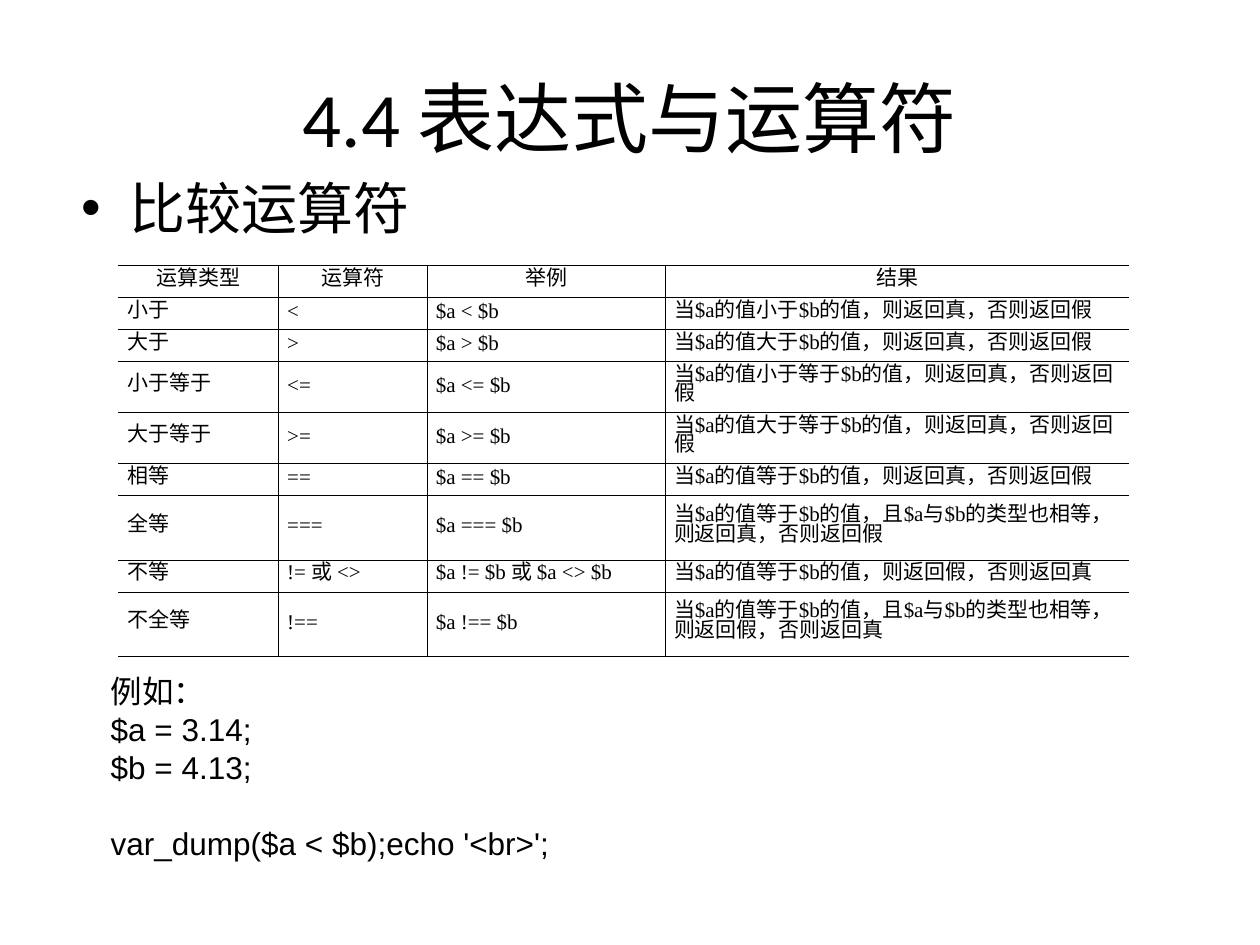
from lxml.etree import SubElement
from pptx import Presentation
from pptx.dml.color import RGBColor
from pptx.enum.text import MSO_ANCHOR, PP_ALIGN
from pptx.oxml.ns import qn
from pptx.util import Inches, Pt

ROWS = [
    ("运算类型", "运算符", "举例", "结果"),
    ("小于", "<", "$a < $b", "当$a的值小于$b的值，则返回真，否则返回假"),
    ("大于", ">", "$a > $b", "当$a的值大于$b的值，则返回真，否则返回假"),
    ("小于等于", "<=", "$a <= $b", "当$a的值小于等于$b的值，则返回真，否则返回假"),
    ("大于等于", ">=", "$a >= $b", "当$a的值大于等于$b的值，则返回真，否则返回假"),
    ("相等", "==", "$a == $b", "当$a的值等于$b的值，则返回真，否则返回假"),
    ("全等", "===", "$a === $b", "当$a的值等于$b的值，且$a与$b的类型也相等，则返回真，否则返回假"),
    ("不等", "!= 或 <>", "$a != $b 或 $a <> $b", "当$a的值等于$b的值，则返回假，否则返回真"),
    ("不全等", "!==", "$a !== $b", "当$a的值等于$b的值，且$a与$b的类型也相等，则返回假，否则返回真"),
]
WIDTHS = [1.27, 1.18, 1.89, 3.68]
HEIGHTS = [0.25, 0.25, 0.25, 0.34, 0.34, 0.25, 0.51, 0.25, 0.51]


def color(code):
    return RGBColor.from_string(code)


def write(para, text, size=18, font="Arial", ink="000000", align=PP_ALIGN.LEFT, pitch=None, before=0):
    run = para.add_run()
    run.text = text
    run.font.size = Pt(size)
    run.font.name = font
    run.font.color.rgb = color(ink)
    para.alignment = align
    para.space_before = Pt(before)
    if pitch:
        para.line_spacing = Pt(pitch)


class Deck:
    """Holds the ink colour and the current slide and adds elements to it."""

    def __init__(self, slide, ink="000000"):
        self.slide = slide
        self.ink = ink

    def box(self, left, top, width, height, anchor=MSO_ANCHOR.TOP):
        shape = self.slide.shapes.add_textbox(*map(Inches, (left, top, width, height)))
        frame = shape.text_frame
        frame.word_wrap = True
        frame.vertical_anchor = anchor
        return frame

    def title(self, text):
        frame = self.box(0.5, 0.3, 9, 1.25, MSO_ANCHOR.MIDDLE)
        write(frame.paragraphs[0], text, size=44, font="Calibri", ink=self.ink, align=PP_ALIGN.CENTER)

    def bullet(self, text):
        para = self.box(0.55, 1.33, 9, 0.78).paragraphs[0]
        write(para, text, size=32, ink=self.ink, before=8)
        props = para._p.get_or_add_pPr()
        props.set("marL", str(Inches(0.38)))
        props.set("indent", str(-Inches(0.38)))
        SubElement(props, qn("a:buFont"), typeface="Arial")
        SubElement(props, qn("a:buChar"), char="•")

    def code(self, lines, pitch=21.7):
        frame = self.box(0.78, 5.28, 6.48, 2.2)
        for at, (text, gap) in enumerate(lines):
            para = frame.add_paragraph() if at else frame.paragraphs[0]
            write(para, text, ink=self.ink, pitch=pitch, before=gap * pitch)

    def edge(self, cell, widths):
        props = cell._tc.get_or_add_tcPr()
        for at, (side, width) in enumerate(zip("LRTB", widths)):
            line = SubElement(props, qn(f"a:ln{side}"), w=str(Pt(width)))
            if width:
                fill = SubElement(line, qn("a:solidFill"))
                SubElement(fill, qn("a:srgbClr"), val=self.ink)
            else:
                SubElement(line, qn("a:noFill"))
            props.insert(at, line)

    def table(self, rows, widths, heights, thin=0.45, thick=0.75):
        area = map(Inches, (0.94, 2.11, sum(widths), sum(heights)))
        grid = self.slide.shapes.add_table(len(rows), len(widths), *area).table
        grid.first_row = grid.horz_banding = False
        for col, width in zip(grid.columns, widths):
            col.width = Inches(width)
        for row, height in zip(grid.rows, heights):
            row.height = Inches(height)
        for r, texts in enumerate(rows):
            for c, text in enumerate(texts):
                cell = grid.cell(r, c)
                cell.vertical_anchor = MSO_ANCHOR.MIDDLE
                cell.margin_left = cell.margin_right = Inches(0.07)
                cell.margin_top = cell.margin_bottom = Inches(0.05)
                cell.fill.background()
                align = PP_ALIGN.LEFT if r else PP_ALIGN.CENTER
                write(cell.text_frame.paragraphs[0], text, size=12, font="Times New Roman",
                      ink=self.ink, align=align, pitch=11)
                self.edge(cell, (
                    thin if c else 0,
                    thin if c < len(widths) - 1 else 0,
                    thin if r else thick,
                    thin if r < len(rows) - 1 else thick,
                ))


def main():
    show = Presentation()
    show.slide_width, show.slide_height = Inches(10), Inches(7.5)
    deck = Deck(show.slides.add_slide(show.slide_layouts[6]))
    deck.title("4.4 表达式与运算符")
    deck.bullet("比较运算符")
    deck.code([
        ("例如：", 0),
        ("$a = 3.14;", 0),
        ("$b = 4.13;", 0),
        ("var_dump($a < $b);echo '<br>';", 1),
    ])
    deck.table(ROWS, WIDTHS, HEIGHTS)
    show.save("out.pptx")


if __name__ == "__main__":
    main()
